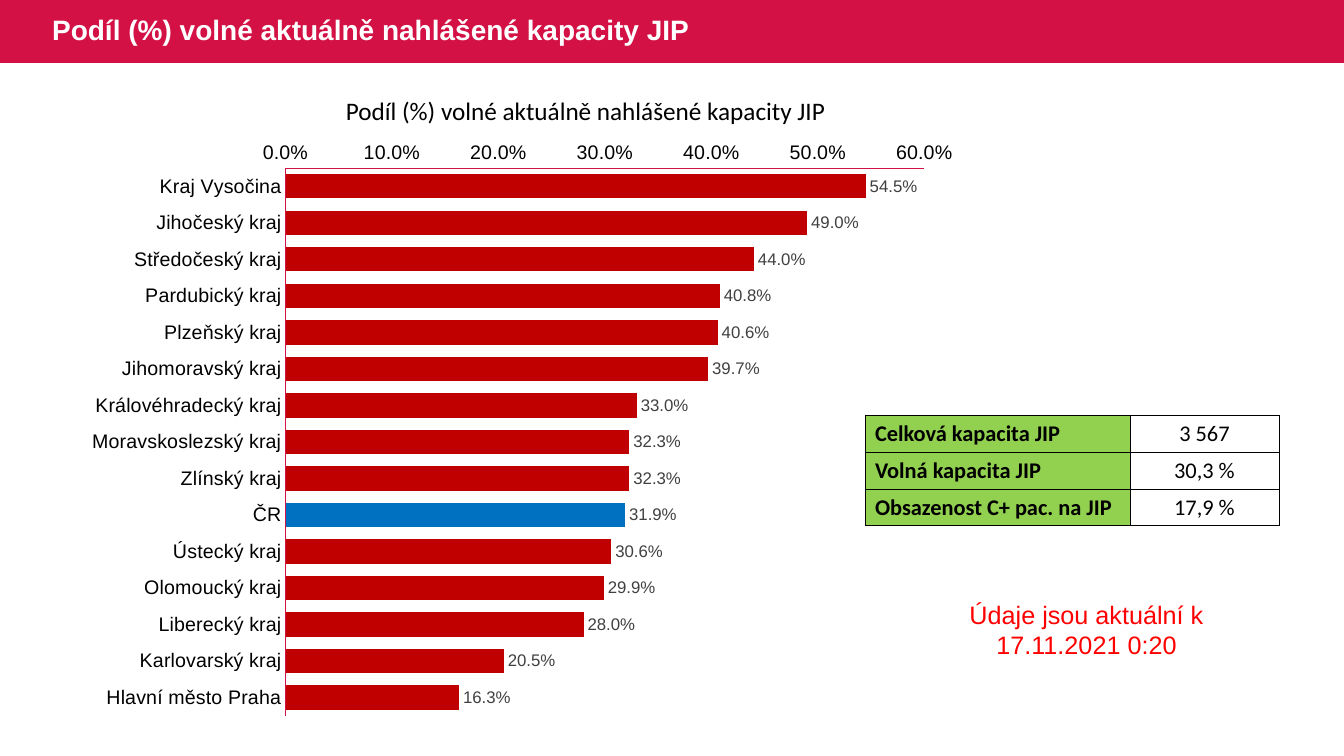
from lxml import etree
from pptx import Presentation
from pptx import util as u
from pptx.chart.data import CategoryChartData
from pptx.dml.color import RGBColor
from pptx.enum import chart as charts, shapes, text
from pptx.oxml import parse_xml
from pptx.oxml.ns import nsdecls, qn

PX = 914400 / 100.8
CRIMSON, RED, BLUE, GREEN = "D31145", "C00000", "0070C0", "92D050"
HEADING = "Podíl (%) volné aktuálně nahlášené kapacity JIP"
HIGHLIGHT = "ČR"
REGIONS = {
    "Kraj Vysočina": 0.545, "Jihočeský kraj": 0.49, "Středočeský kraj": 0.44,
    "Pardubický kraj": 0.408, "Plzeňský kraj": 0.406, "Jihomoravský kraj": 0.397,
    "Královéhradecký kraj": 0.33, "Moravskoslezský kraj": 0.323,
    "Zlínský kraj": 0.323, HIGHLIGHT: 0.319, "Ústecký kraj": 0.306,
    "Olomoucký kraj": 0.299, "Liberecký kraj": 0.28, "Karlovarský kraj": 0.205,
    "Hlavní město Praha": 0.163,
}
CAPACITY = [("Celková kapacita JIP", "3 567"), ("Volná kapacita JIP", "30,3 %"),
            ("Obsazenost C+ pac. na JIP", "17,9 %")]


def emu(*lengths):
    return [u.Emu(round(length * PX)) for length in lengths]


def rgb(value):
    return RGBColor.from_string(value)


def set_all(target, **values):
    for name, value in values.items():
        setattr(target, name, value)


def set_font(font, size, name="Arial", color="000000", bold=False):
    set_all(font, size=u.Pt(size), name=name, bold=bold)
    font.color.rgb = rgb(color)


def fill_solid(fill, color):
    fill.solid()
    fill.fore_color.rgb = rgb(color)


def write(frame, content, align=text.PP_ALIGN.LEFT, **font):
    frame.text = content
    paragraph = frame.paragraphs[0]
    paragraph.alignment = align
    set_font(paragraph.runs[0].font, **font)
    return paragraph


def add_title(slide):
    """Place the title on a full-width band."""
    band = slide.shapes.add_shape(shapes.MSO_SHAPE.RECTANGLE, *emu(0, 0, 1344, 63))
    band.shadow.inherit = False
    fill_solid(band.fill, CRIMSON)
    band.line.fill.background()
    slide.shapes._spTree.insert(2, band._element)
    title = slide.shapes.title
    set_all(title, **dict(zip(("left", "top", "width", "height"), emu(42, 0, 1165, 63))))
    set_all(title.text_frame, vertical_anchor=text.MSO_ANCHOR.MIDDLE, word_wrap=True,
            auto_size=text.MSO_AUTO_SIZE.NONE)
    paragraph = write(title.text_frame, HEADING, size=20, color="FFFFFF", bold=True)
    paragraph.line_spacing = 0.9


def add_text(slide, box, content, wrap=True, **style):
    frame = slide.shapes.add_textbox(*emu(*box)).text_frame
    set_all(frame, word_wrap=wrap, auto_size=text.MSO_AUTO_SIZE.SHAPE_TO_FIT_TEXT)
    write(frame, content, **style)


def format_axis(axis):
    set_all(axis, has_major_gridlines=False, major_tick_mark=charts.XL_TICK_MARK.NONE,
            minor_tick_mark=charts.XL_TICK_MARK.NONE)
    set_font(axis.tick_labels.font, 14)
    axis.format.line.color.rgb = rgb(CRIMSON)
    axis.format.line.width = u.Pt(0.75)


def set_plot_layout(chart, **fractions):
    """Fix the inner plot area as fractions of the chart frame."""
    area = chart._chartSpace.chart.plotArea
    for old in area.findall(qn("c:layout")):
        area.remove(old)
    layout = parse_xml(f"<c:layout {nsdecls('c')}><c:manualLayout/></c:layout>")
    values = {"layoutTarget": "inner", "xMode": "edge", "yMode": "edge", **fractions}
    for name, value in values.items():
        etree.SubElement(layout[0], qn(f"c:{name}")).set("val", str(value))
    area.insert(0, layout)


def add_region_chart(slide):
    data = CategoryChartData(number_format="0.0%")
    data.categories = list(REGIONS)
    data.add_series("Series 1", list(REGIONS.values()))
    chart = slide.shapes.add_chart(charts.XL_CHART_TYPE.BAR_CLUSTERED,
                                   *emu(75, 131, 896, 598), data).chart
    set_all(chart, has_legend=False, has_title=False)
    set_font(chart.font, 10)
    for axis in (chart.category_axis, chart.value_axis):
        format_axis(axis)
    chart.category_axis.reverse_order = True
    set_all(chart.value_axis, minimum_scale=0, maximum_scale=0.6, major_unit=0.1)
    set_all(chart.value_axis.tick_labels, number_format="0.0%",
            number_format_is_linked=False)

    plot = chart.plots[0]
    set_all(plot, gap_width=50, vary_by_categories=False)
    series = plot.series[0]
    fill_solid(series.format.fill, RED)
    highlight = series.points[list(REGIONS).index(HIGHLIGHT)]
    fill_solid(highlight.format.fill, BLUE)
    labels = series.data_labels
    set_all(labels, show_value=True, number_format="0.0%", number_format_is_linked=False,
            position=charts.XL_LABEL_POSITION.OUTSIDE_END)
    set_font(labels.font, 12, color="404040")
    set_plot_layout(chart, x=0.235, y=0.062, w=0.713, h=0.916)


def add_borders(cell):
    properties = cell._tc.get_or_add_tcPr()
    for index, side in enumerate(("lnL", "lnR", "lnT", "lnB")):
        properties.insert(index, parse_xml(
            f'<a:{side} {nsdecls("a")} w="9525"><a:solidFill>'
            f'<a:srgbClr val="000000"/></a:solidFill></a:{side}>'))


def add_capacity_table(slide):
    widths, row_height = (265, 149), 37
    table = slide.shapes.add_table(len(CAPACITY), len(widths), *emu(
        865, 415, sum(widths), row_height * len(CAPACITY))).table
    set_all(table, first_row=False, horz_banding=False)
    for column, width in zip(table.columns, emu(*widths)):
        column.width = width
    styles = [(GREEN, text.PP_ALIGN.LEFT, text.MSO_ANCHOR.TOP, True),
              ("FFFFFF", text.PP_ALIGN.CENTER, text.MSO_ANCHOR.MIDDLE, False)]
    for row, entries in zip(table.rows, CAPACITY):
        row.height = emu(row_height)[0]
        for cell, content, (color, align, anchor, bold) in zip(row.cells, entries, styles):
            fill_solid(cell.fill, color)
            cell.vertical_anchor = anchor
            write(cell.text_frame, content, align, size=16, name="Calibri", bold=bold)
            add_borders(cell)


def main():
    presentation = Presentation()
    presentation.slide_width, presentation.slide_height = emu(1344, 756)
    slide = presentation.slides.add_slide(presentation.slide_layouts[5])
    add_title(slide)
    add_region_chart(slide)
    add_text(slide, (336, 90, 517, 40), HEADING, wrap=False, size=18, name="Calibri")
    add_capacity_table(slide)
    add_text(slide, (958, 594, 257, 72), "Údaje jsou aktuální k 17.11.2021 0:20",
             align=text.PP_ALIGN.CENTER, size=18, color="FF0000")
    presentation.save("out.pptx")


if __name__ == "__main__":
    main()
